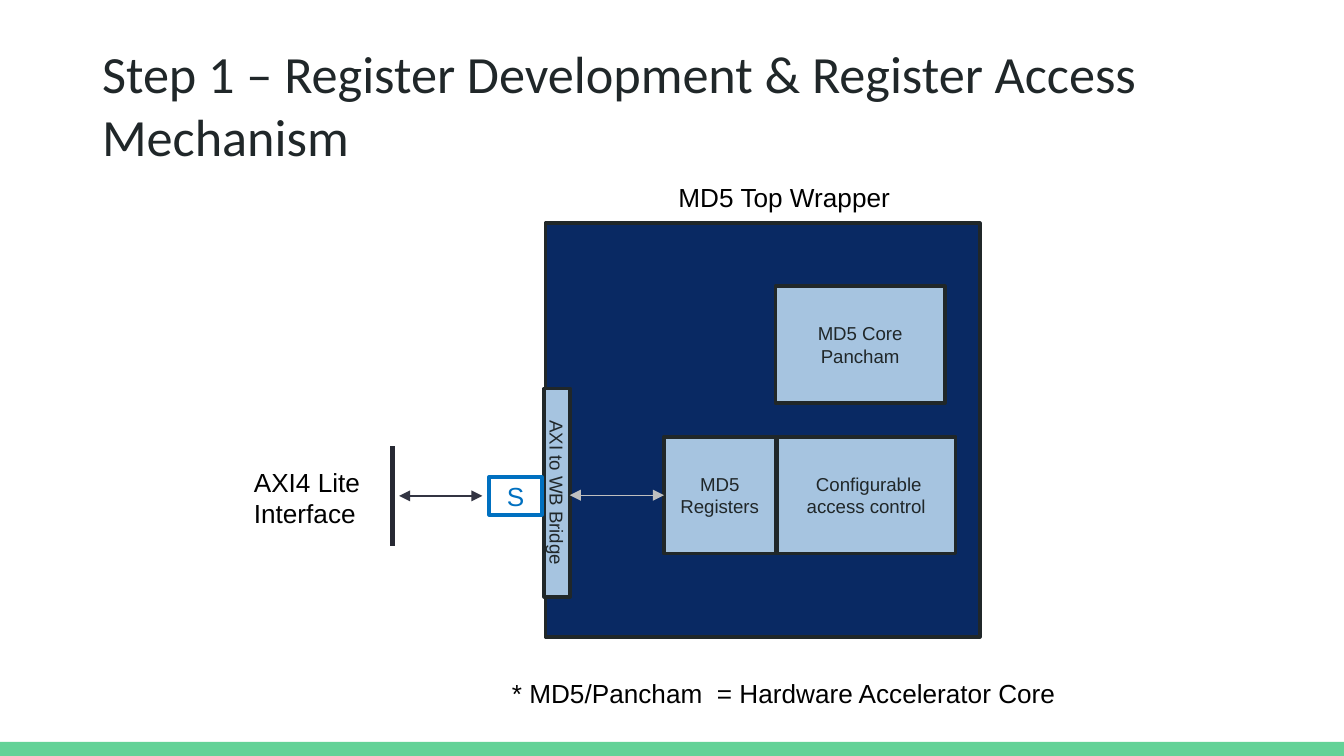
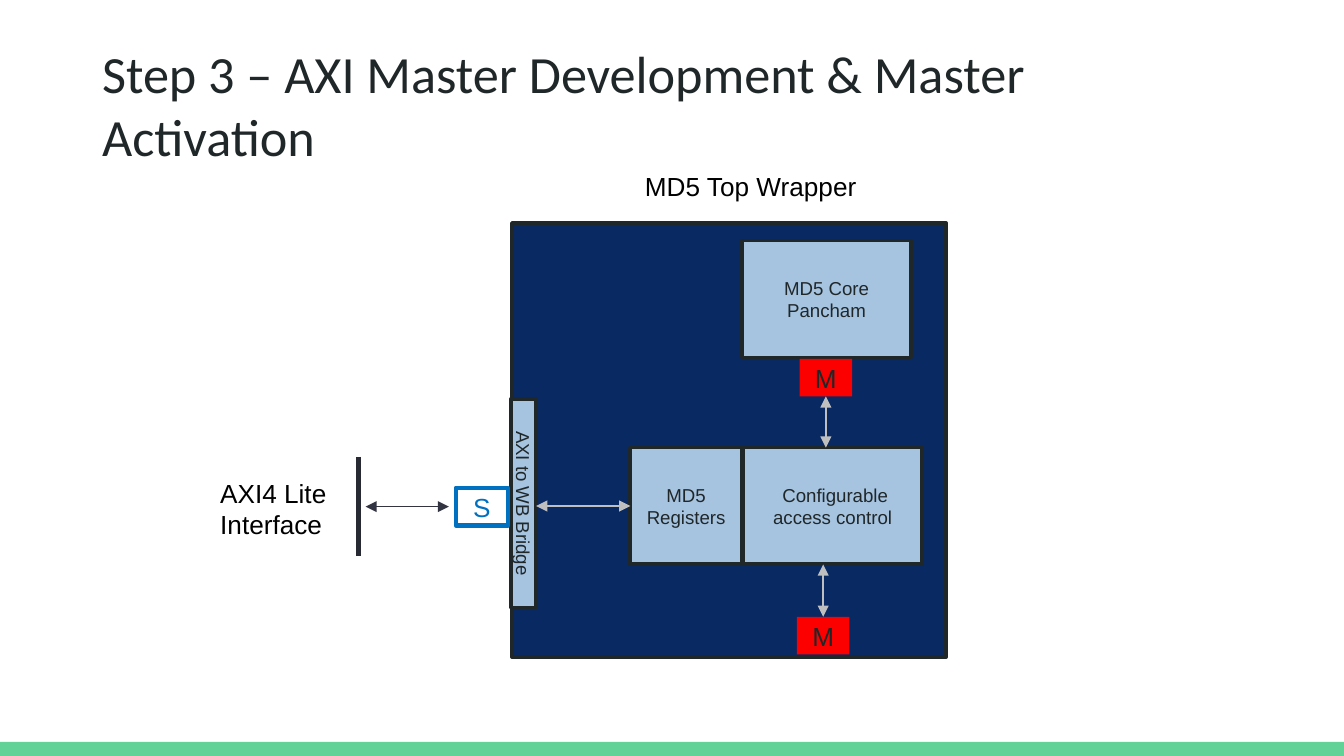
"""Build two slides that show how an MD5 accelerator is wrapped and connected."""
from dataclasses import dataclass
from typing import Optional

import lxml.etree
import pptx
import pptx.dml.color
import pptx.enum.shapes
import pptx.enum.text
import pptx.oxml.ns
import pptx.util

Inches = pptx.util.Inches
Align = pptx.enum.text.PP_ALIGN
Anchor = pptx.enum.text.MSO_ANCHOR
TOP, LEFT, BOTTOM = 0, 1, 2
BLOCK_HEIGHT = 0.87
PORT_WIDTH, PORT_HEIGHT = 0.39, 0.28


@dataclass(frozen=True)
class Theme:
    ink: str = "202729"
    black: str = "000000"
    white: str = "FFFFFF"
    band: str = "63D297"
    navy: str = "092963"
    pale: str = "A6C4E0"
    blue: str = "0070C0"
    red: str = "FC0000"
    slate: str = "323442"
    bar: str = "272933"
    silver: str = "BFBFBF"
    title_font: str = "Calibri"
    body_font: str = "Arial"
    title_size: float = 28
    label_size: float = 14
    block_size: float = 10


THEME = Theme()


@dataclass(frozen=True)
class Box:
    name: str
    left: float
    top: float
    width: float
    height: float
    text: str = ""
    fill: str = THEME.pale
    line: Optional[str] = THEME.ink
    line_width: float = 2
    size: float = THEME.block_size
    color: str = THEME.ink
    rotation: float = 0


@dataclass(frozen=True)
class Label:
    text: str
    left: float
    top: float
    width: float
    height: float


@dataclass(frozen=True)
class Link:
    start: tuple[float, float]
    end: tuple[float, float]
    color: str = THEME.silver
    width: float = 0.75
    arrows: bool = True
    begin_at: Optional[tuple[str, int]] = None
    end_at: Optional[tuple[str, int]] = None


@dataclass(frozen=True)
class Step:
    title: str
    title_width: float
    title_height: float
    left: float
    row: float
    wrapper_height: float
    caption_top: float
    core_top: float
    has_masters: bool = False
    note: Optional[Label] = None


STEPS = (
    Step("Step 1 – Register Development & Register Access Mechanism",
         9.02, 1.06, left=4.06, row=3.25, wrapper_height=3.08,
         caption_top=1.3, core_top=2.13,
         note=Label("* MD5/Pancham  = Hardware Accelerator Core", 3.71, 4.99, 4.59, 0.34)),
    Step("Step 3 – AXI Master Development & Master Activation",
         7.44, 0.63, left=3.81, row=3.33, wrapper_height=3.23,
         caption_top=1.22, core_top=1.79, has_masters=True),
)


def rgb(value: str) -> pptx.dml.color.RGBColor:
    """Turn a hex string into a colour."""
    return pptx.dml.color.RGBColor.from_string(value)


def write_text(frame, text: str, *, size: float, color: str,
               font: str = THEME.body_font, align=Align.LEFT, anchor=Anchor.TOP,
               inset_left: float = 0.1, inset_y: float = 0.05) -> None:
    """Fill a text frame, one paragraph for each line of text."""
    frame.word_wrap = True
    frame.auto_size = pptx.enum.text.MSO_AUTO_SIZE.NONE
    frame.vertical_anchor = anchor
    frame.margin_left, frame.margin_right = Inches(inset_left), Inches(0.1)
    frame.margin_top = frame.margin_bottom = Inches(inset_y)
    for index, line in enumerate(text.split("\n")):
        para = frame.add_paragraph() if index else frame.paragraphs[0]
        para.alignment = align
        span = para.add_run()
        span.text = line
        span.font.name = font
        span.font.size = pptx.util.Pt(size)
        span.font.color.rgb = rgb(color)


def draw_box(page, box: Box):
    """Draw one rectangle with its centred text."""
    shape = page.shapes.add_shape(
        pptx.enum.shapes.MSO_SHAPE.RECTANGLE,
        Inches(box.left), Inches(box.top), Inches(box.width), Inches(box.height))
    shape.shadow.inherit = False
    shape.rotation = box.rotation
    shape.fill.solid()
    shape.fill.fore_color.rgb = rgb(box.fill)
    if box.line:
        shape.line.color.rgb = rgb(box.line)
        shape.line.width = pptx.util.Pt(box.line_width)
    else:
        shape.line.fill.background()
    if box.text:
        write_text(shape.text_frame, box.text, size=box.size, color=box.color,
                   align=Align.CENTER, anchor=Anchor.MIDDLE)
    return shape


def draw_label(page, label: Label) -> None:
    """Draw one plain text box."""
    box = page.shapes.add_textbox(Inches(label.left), Inches(label.top),
                                  Inches(label.width), Inches(label.height))
    write_text(box.text_frame, label.text, size=THEME.label_size, color=THEME.black)


def draw_link(page, link: Link, shapes: dict) -> None:
    """Draw one straight connector and join it to its boxes."""
    connector = page.shapes.add_connector(
        pptx.enum.shapes.MSO_CONNECTOR.STRAIGHT,
        *(Inches(value) for value in link.start + link.end))
    connector.line.color.rgb = rgb(link.color)
    connector.line.width = pptx.util.Pt(link.width)
    qn = pptx.oxml.ns.qn
    properties = connector.element.spPr
    if link.arrows:
        outline = properties.find(qn("a:ln"))
        for tag in ("a:headEnd", "a:tailEnd"):
            lxml.etree.SubElement(outline, qn(tag), type="triangle")
    lxml.etree.SubElement(properties, qn("a:effectLst"))
    if link.begin_at:
        name, side = link.begin_at
        connector.begin_connect(shapes[name], side)
    if link.end_at:
        name, side = link.end_at
        connector.end_connect(shapes[name], side)


def diagram_boxes(step: Step) -> list[Box]:
    """List the boxes of a step, placed from the wrapper edge and the register row."""
    left, row = step.left, step.row
    boxes = [
        Box("wrapper", left, 1.66, 3.23, step.wrapper_height, fill=THEME.navy),
        Box("bridge", left - 0.69, row + 0.32, 1.55, 0.19, "AXI to WB Bridge", rotation=90),
        Box("core", left + 1.71, step.core_top, 1.26, BLOCK_HEIGHT, "MD5 Core\nPancham"),
        Box("slave", left - 0.42, row + 0.3, PORT_WIDTH, PORT_HEIGHT, "S", fill=THEME.white,
            line=THEME.blue, line_width=2.25, size=THEME.label_size, color=THEME.blue),
        Box("registers", left + 0.88, row, 0.83, BLOCK_HEIGHT, "MD5 Registers"),
        Box("access", left + 1.72, row, 1.33, BLOCK_HEIGHT, " Configurable access control"),
    ]
    if step.has_masters:
        boxes += [
            Box(name, left + shift, top, PORT_WIDTH, PORT_HEIGHT, "M", fill=THEME.red,
                line=None, size=THEME.label_size)
            for name, shift, top in (("core master", 2.14, step.core_top + 0.88),
                                     ("access master", 2.12, row + 1.26))
        ]
    return boxes


def diagram_links(step: Step) -> list[Link]:
    """List the connectors of a step."""
    left, row = step.left, step.row
    bus, middle = row + 0.44, row + BLOCK_HEIGHT / 2
    links = [
        Link((left - 1.09, bus), (left - 0.47, bus), THEME.slate),
        Link((left - 1.14, bus - 0.37), (left - 1.14, bus + 0.37), THEME.bar, 2.75,
             arrows=False),
        Link((left + 0.18, middle), (left + 0.88, middle), end_at=("registers", LEFT)),
    ]
    if step.has_masters:
        upper, lower = (left + shift + PORT_WIDTH / 2 for shift in (2.14, 2.12))
        links += [
            Link((upper, step.core_top + 1.16), (upper, row),
                 begin_at=("core master", BOTTOM)),
            Link((lower, row + BLOCK_HEIGHT), (lower, row + 1.26),
                 end_at=("access master", TOP)),
        ]
    return links


def draw_step(deck, layout, step: Step) -> None:
    """Add the slide of one step."""
    page = deck.slides.add_slide(layout)
    title = page.shapes.title
    title.left, title.top = Inches(0.6), Inches(0.21)
    title.width, title.height = Inches(step.title_width), Inches(step.title_height)
    write_text(title.text_frame, step.title, size=THEME.title_size, color=THEME.ink,
               font=THEME.title_font, inset_left=0.16, inset_y=0.1)
    shapes = {box.name: draw_box(page, box) for box in diagram_boxes(step)}
    labels = [
        Label("AXI4 Lite Interface", step.left - 2.27, step.row + 0.17, 1.05, 0.57),
        Label("MD5 Top Wrapper", step.left + 0.89, step.caption_top, 1.97, 0.34),
    ]
    if step.note:
        labels.append(step.note)
    for label in labels:
        draw_label(page, label)
    for link in diagram_links(step):
        draw_link(page, link, shapes)


def main() -> None:
    """Build and save the deck."""
    deck = pptx.Presentation()
    deck.slide_width = Inches(10)
    deck.slide_height = deck.slide_width * 9 // 16
    layout = deck.slide_layouts.get_by_name("Title Only")
    for step in STEPS:
        draw_step(deck, layout, step)
    band = draw_box(deck.slides[0], Box("band", 0, 5.52, 10, 0.11, fill=THEME.band, line=None))
    layout.shapes.element.append(band.element)
    deck.save("out.pptx")


if __name__ == "__main__":
    main()
